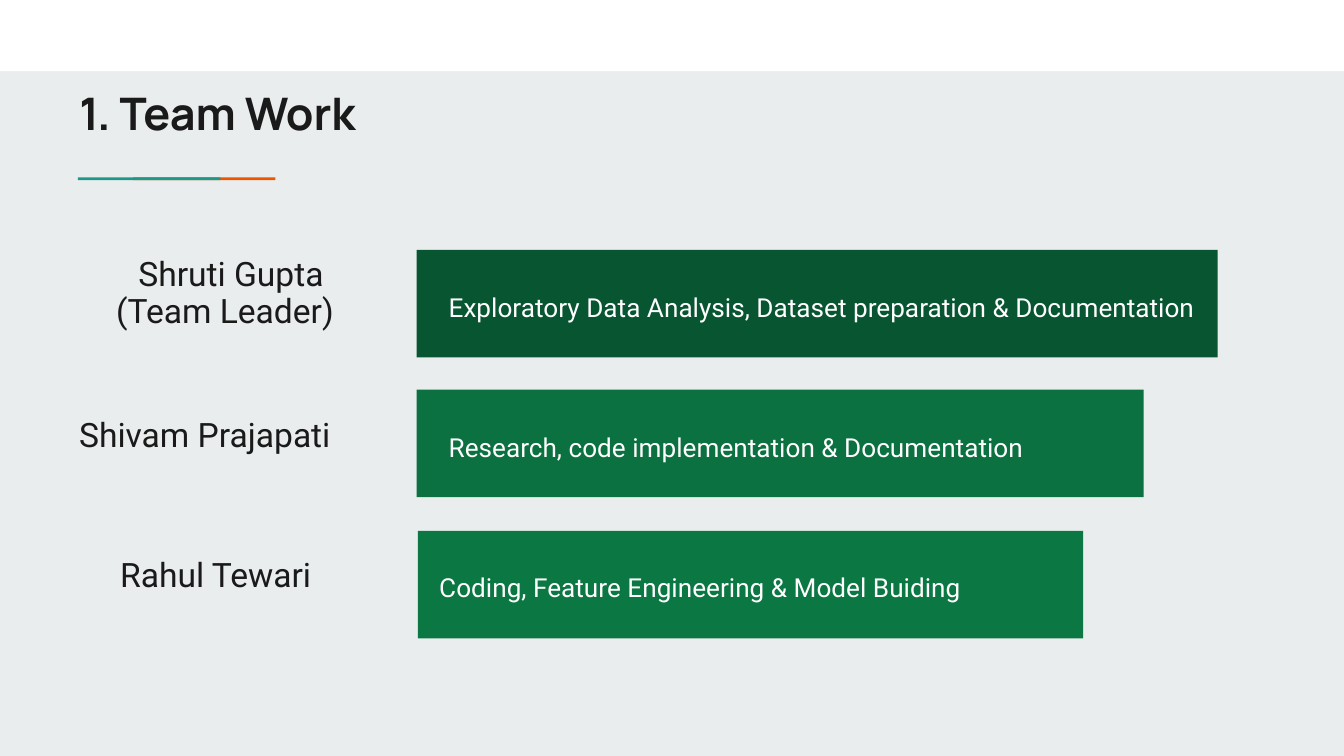
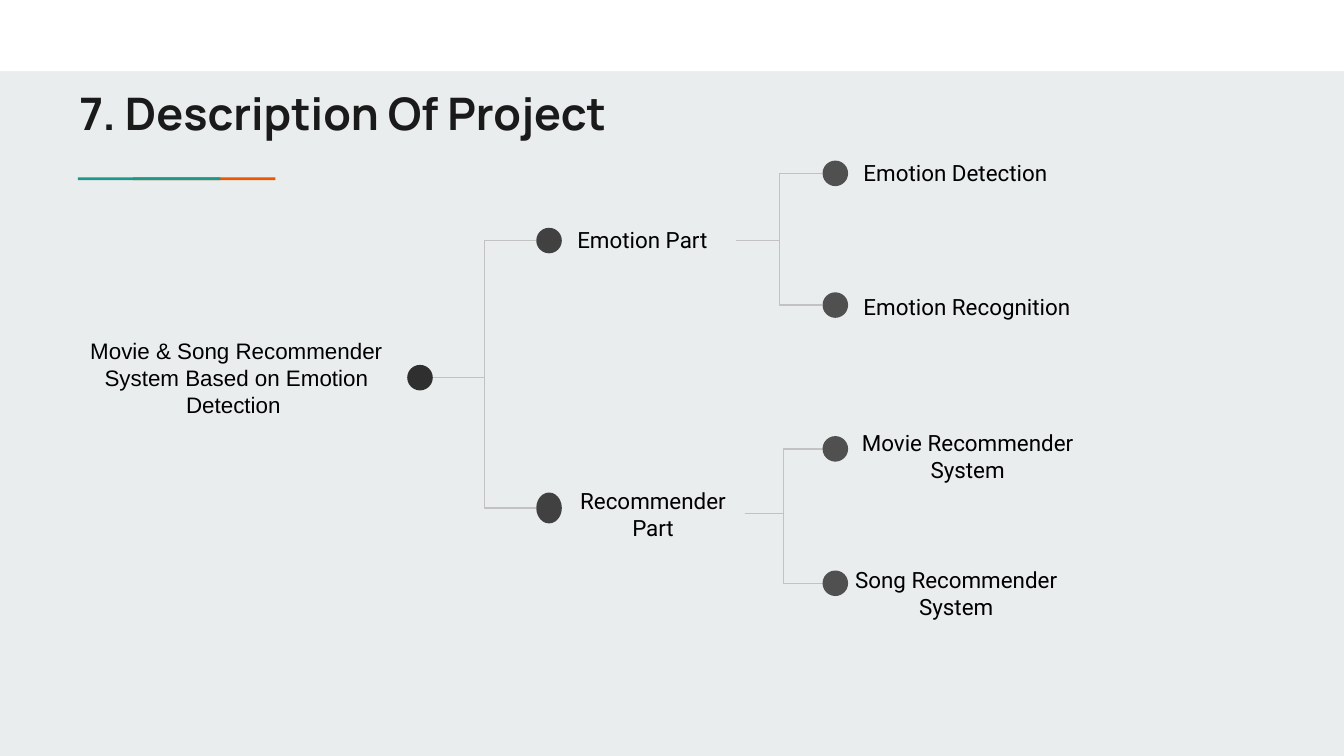
from pptx import Presentation
from pptx import util as u
from pptx.dml.color import RGBColor
from pptx.enum import shapes, text
from pptx.oxml.ns import qn
from lxml import etree

COLORS = {
    "background": "E9EDEE", "band": "FFFFFF", "teal": "1A9988", "orange": "EB5600",
    "ink": "1A1A1A", "white": "FFFFFF", "black": "000000", "branch": "C2C2C2",
    "lead": "085631", "research": "0B7140", "coding": "0B7743",
    "root": "2F2F2F", "part": "414141", "leaf": "505050",
}
LEFT, CENTER = text.PP_ALIGN.LEFT, text.PP_ALIGN.CENTER
MIDDLE, TOP = text.MSO_ANCHOR.MIDDLE, text.MSO_ANCHOR.TOP
RECT = shapes.MSO_SHAPE.RECTANGLE
OVAL = shapes.MSO_SHAPE.OVAL
ROUNDED = shapes.MSO_SHAPE.ROUNDED_RECTANGLE
DOT = 0.19


def color(name):
    return RGBColor.from_string(COLORS[name])


def inches(values):
    return [u.Inches(value) for value in values]


class Deck:
    def __init__(self):
        self.prs = Presentation()
        self.prs.slide_width, self.prs.slide_height = inches((10, 5.625))
        fill = self.prs.slide_master.background.fill
        fill.solid()
        fill.fore_color.rgb = color("background")
        self.slide = None

    def start(self, heading):
        self.slide = self.prs.slides.add_slide(self.prs.slide_layouts[5])
        title = self.slide.shapes.title
        title.left, title.top, title.width, title.height = inches((0.49, 0.54, 9.01, 0.78))
        title.text_frame.auto_size = text.MSO_AUTO_SIZE.NONE
        self.set_text(title, [heading], size=24, font="Manrope", ink="ink",
                      bold=True, anchor=TOP)
        self.block((0, 0, 10, 0.53), "band")
        self.block((0.99, 1.32, 1.06, 0.02), "orange")
        self.block((0.58, 1.32, 1.06, 0.02), "teal")

    def block(self, at, fill=None, kind=RECT):
        shape = self.slide.shapes.add_shape(kind, *inches(at))
        shape.shadow.inherit = False
        shape.line.fill.background()
        if fill:
            shape.fill.solid()
            shape.fill.fore_color.rgb = color(fill)
        else:
            shape.fill.background()
        return shape

    def set_text(self, shape, lines, size, font="Roboto", ink="black", bold=False,
                 align=LEFT, anchor=MIDDLE, inset=0.1, spacing=1.0, gap=0):
        frame = shape.text_frame
        frame.word_wrap = True
        frame.vertical_anchor = anchor
        frame.margin_left = frame.margin_right = u.Inches(0.1)
        frame.margin_top = frame.margin_bottom = u.Inches(inset)
        for index, line in enumerate(lines):
            paragraph = frame.add_paragraph() if index else frame.paragraphs[0]
            paragraph.alignment = align
            paragraph.line_spacing = spacing
            paragraph.space_before = u.Pt(gap if index else 0)
            runs = [(line, size)] if isinstance(line, str) else line
            for words, points in runs:
                run = paragraph.add_run()
                run.text = words
                run.font.name = font
                run.font.size = u.Pt(points)
                run.font.bold = bold
                run.font.color.rgb = color(ink)

    def textbox(self, at, lines, **style):
        self.set_text(self.slide.shapes.add_textbox(*inches(at)), lines, inset=0.05, **style)

    def label(self, at, words, **style):
        self.set_text(self.block(at, kind=ROUNDED), [words], size=12, **style)

    def elbow(self, start, end):
        line = self.slide.shapes.add_connector(
            shapes.MSO_CONNECTOR.ELBOW, *inches(start + end))
        line.line.color.rgb = color("branch")
        line.line.width = u.Pt(0.75)
        etree.SubElement(line._element.spPr, qn("a:effectLst"))


def team_work(deck):
    deck.start("1. Team Work")
    leader = ["Shruti Gupta ", [("(Team Leader)", 18), (" ", 44)]]
    members = [
        (leader, (0.49, 1.91, 2.52, 0.69), CENTER, (3.1, 1.86, 5.96, 0.8), "lead",
         "Exploratory Data Analysis, Dataset preparation & Documentation",
         (3.24, 1.95, 5.96, 0.63)),
        (["Shivam Prajapati"], (0.49, 2.96, 2.52, 0.69), LEFT,
         (3.1, 2.9, 5.41, 0.8), "research",
         "Research, code implementation & Documentation", (3.24, 3.13, 4.87, 0.36)),
        (["Rahul Tewari"], (0.49, 4, 2.23, 0.69), CENTER,
         (3.11, 3.95, 4.95, 0.8), "coding",
         "Coding, Feature Engineering & Model Buiding", (3.17, 4.17, 4.16, 0.36)),
    ]
    for name, name_at, align, bar_at, fill, task, task_at in members:
        deck.textbox(name_at, name, size=18, ink="ink", align=align, spacing=0.3, gap=6.3)
        deck.block(bar_at, fill)
        deck.textbox(task_at, [task], size=14, ink="white", spacing=1.15)


def description(deck):
    deck.start("7. Description Of Project")
    root_x, part_x, leaf_x = 3.03, 3.99, 6.12
    root_y, emotion_y, recommender_y = 2.81, 1.79, 3.78
    detection_y, recognition_y, movie_y, song_y = 1.29, 2.27, 3.34, 4.34
    branches = [
        ((root_x + DOT, root_y), part_x, (recommender_y, emotion_y)),
        ((5.48, emotion_y), leaf_x, (detection_y, recognition_y)),
        ((5.54, 3.82), leaf_x, (movie_y, song_y)),
    ]
    for start, end_x, ends in branches:
        for end_y in ends:
            deck.elbow(start, (end_x, end_y))

    nodes = [
        ("Emotion Detection", (6.31, 1.11, 2, 0.35), LEFT, leaf_x, detection_y, DOT, "leaf"),
        ("Emotion Part", (4.18, 1.61, 1.29, 0.35), LEFT, part_x, emotion_y, DOT, "part"),
        ("Movie & Song Recommender System Based on Emotion Detection ",
         (0.49, 2.52, 2.54, 0.58), CENTER, root_x, root_y, DOT, "root"),
        ("Recommender Part", (4.18, 3.61, 1.36, 0.43), CENTER,
         part_x, recommender_y, 0.23, "part"),
        ("Emotion Recognition", (6.31, 2.11, 1.86, 0.35), LEFT,
         leaf_x, recognition_y, DOT, "leaf"),
        ("Movie Recommender System", (6.24, 3.18, 1.92, 0.43), CENTER,
         leaf_x, movie_y, DOT, "leaf"),
        ("Song Recommender System", (6.22, 4.24, 1.79, 0.35), CENTER,
         leaf_x, song_y, DOT, "leaf"),
    ]
    for words, at, align, dot_x, dot_y, dot_height, fill in nodes:
        font = "Arial" if fill == "root" else "Roboto"
        deck.label(at, words, align=align, font=font)
        deck.block((dot_x, dot_y - dot_height / 2, DOT, dot_height), fill, OVAL)


def main():
    deck = Deck()
    team_work(deck)
    description(deck)
    deck.prs.save("out.pptx")


if __name__ == "__main__":
    main()
